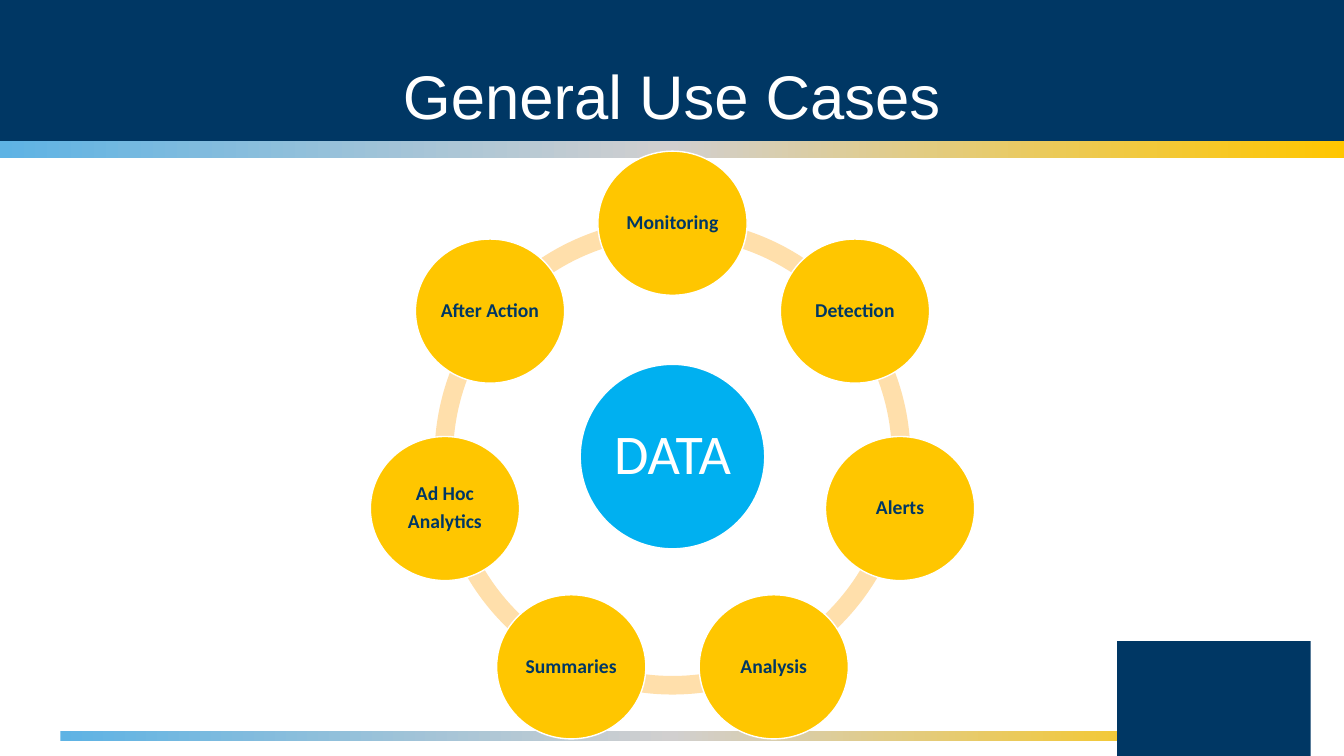
import copy
import math

from pptx import Presentation
from pptx import util as u
from pptx.dml.color import RGBColor
from pptx.enum import shapes, text
from pptx.oxml.ns import qn

NAVY, GOLD, BLUE, PEACH, WHITE = "003764", "FFC600", "00B0F0", "FFDFAB", "FFFFFF"
GRADIENT = ["5EB3E4", "D1CFCF", GOLD]
USE_CASES = ["Monitoring", "Detection", "Alerts", "Analysis",
             "Summaries", "Ad Hoc\nAnalytics", "After Action"]

deck = Presentation()
deck.slide_width, deck.slide_height = u.Inches(13.33), u.Inches(7.5)
page = deck.slides.add_slide(deck.slide_layouts[5])


def add_figure(kind, left, top, width, height, color, outline=None):
    figure = page.shapes.add_shape(kind, *map(u.Inches, (left, top, width, height)))
    figure.shadow.inherit = False
    figure.fill.solid()
    figure.fill.fore_color.rgb = RGBColor.from_string(color)
    if outline:
        figure.line.color.rgb = RGBColor.from_string(outline)
        figure.line.width = u.Pt(1)
    else:
        figure.line.fill.background()
    return figure


def write(figure, words, inset, space_after=0, **font):
    """Fill a shape with centred paragraphs, one per line of words."""
    frame = figure.text_frame
    frame.word_wrap = True
    frame.vertical_anchor = text.MSO_ANCHOR.MIDDLE
    for side in ("left", "top", "right", "bottom"):
        setattr(frame, f"margin_{side}", u.Inches(inset))
    frame.text = words
    for para in frame.paragraphs:
        para.alignment = text.PP_ALIGN.CENTER
        para.line_spacing = 0.9
        para.space_after = u.Pt(space_after)
        for span in para.runs:
            span.font.color.rgb = RGBColor.from_string(font["color"])
            for name in ("name", "size", "bold"):
                setattr(span.font, name, font[name])


# Header, footer and corner bands
RECT = shapes.MSO_SHAPE.RECTANGLE
add_figure(RECT, 0, 0, 13.33, 1.4, NAVY)
for place in [(0, 1.4, 13.33, 0.17), (0.6, 7.25, 12.14, 0.1)]:
    band = add_figure(RECT, *place, WHITE)
    band.fill.gradient()
    band.fill.gradient_angle = 0
    first_stop = band._element.spPr.find(".//" + qn("a:gs"))
    first_stop.addnext(copy.deepcopy(first_stop))
    for index, (stop, color) in enumerate(zip(band.fill.gradient_stops, GRADIENT)):
        stop.position = index / 2
        stop.color.rgb = RGBColor.from_string(color)
add_figure(RECT, 11.08, 6.36, 1.92, 1.14, NAVY)

# Title, in front of the header band
title = page.shapes.title
title.left, title.top, title.width, title.height = map(u.Inches, (0, 0.39, 13.33, 1.19))
write(title, "General Use Cases", 0.05, name="Arial", size=u.Pt(44), bold=False, color=WHITE)
page.shapes._spTree.append(title._element)

# Wheel: ring of arcs, hub, then one node per use case
CENTER_X, CENTER_Y = 6.67, 4.53
RING, HUB, ORBIT = 4.72, 1.83, 2.315
NODE_WIDTH, NODE_HEIGHT = 1.48, 1.43
STEP = 360 / len(USE_CASES)
DEGREE = 0.6  # one degree in block-arc adjustment units

for index in range(len(USE_CASES)):
    arc = add_figure(shapes.MSO_SHAPE.BLOCK_ARC, CENTER_X - RING / 2, CENTER_Y - RING / 2,
                     RING, RING, PEACH)
    start = 270 + index * STEP
    arc.adjustments[0] = start % 360 * DEGREE
    arc.adjustments[1] = (start + STEP) % 360 * DEGREE
    arc.adjustments[2] = 0.039

hub = add_figure(shapes.MSO_SHAPE.OVAL, CENTER_X - HUB / 2, CENTER_Y - HUB / 2,
                 HUB, HUB, BLUE, WHITE)
write(hub, "DATA", 0.06, name="Calibri", size=u.Pt(40), bold=False, color=WHITE)

for index, use_case in enumerate(USE_CASES):
    angle = math.radians(index * STEP)
    node = add_figure(shapes.MSO_SHAPE.OVAL,
                      CENTER_X + ORBIT * math.sin(angle) - NODE_WIDTH / 2,
                      CENTER_Y - ORBIT * math.cos(angle) - NODE_HEIGHT / 2,
                      NODE_WIDTH, NODE_HEIGHT, GOLD, WHITE)
    write(node, use_case, 0.02, space_after=5,
          name="Calibri", size=u.Pt(14), bold=True, color=NAVY)

deck.save("out.pptx")
